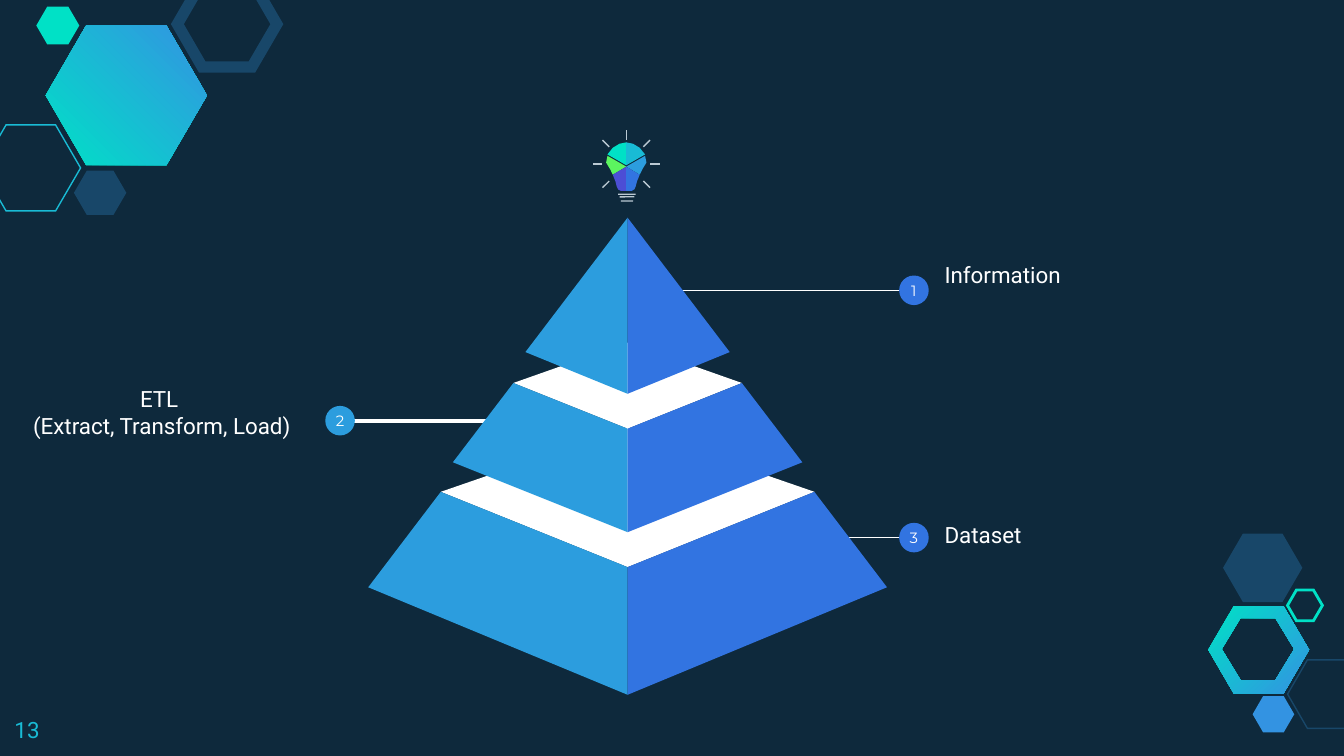
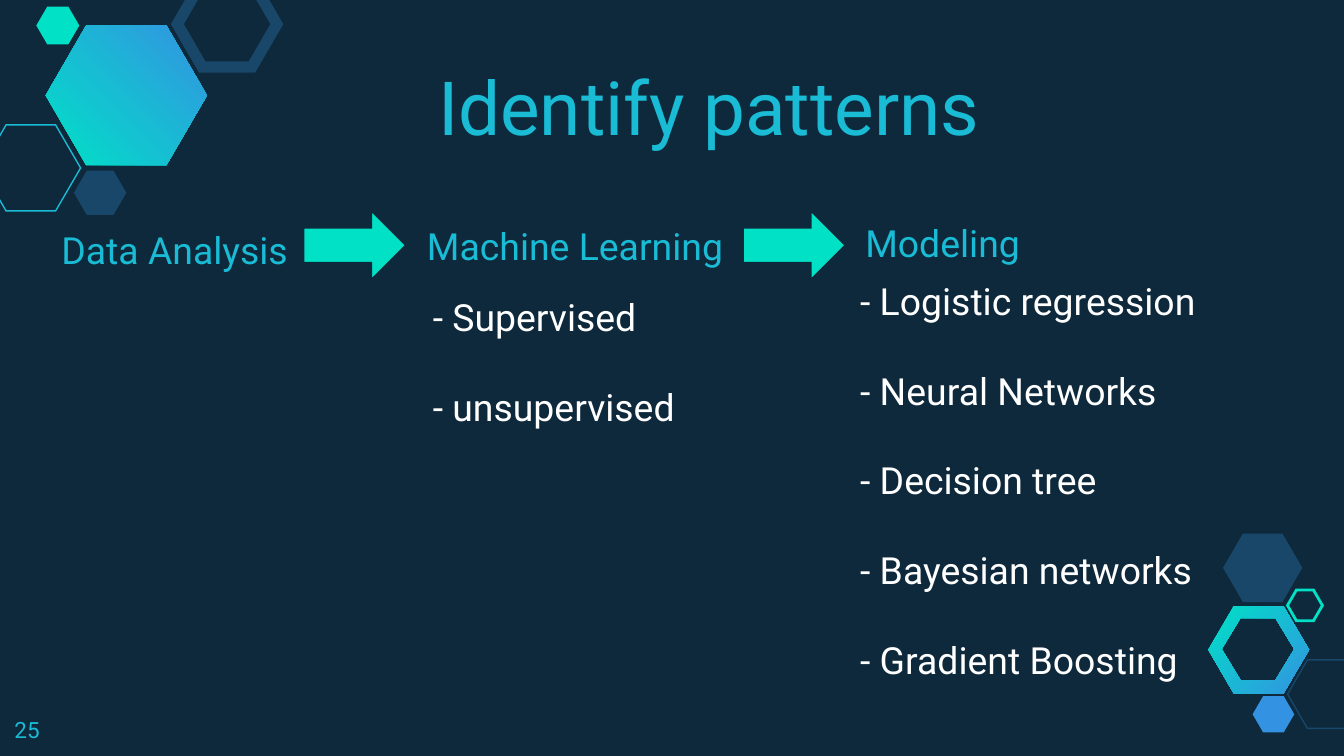
from math import cos, radians, sin

from lxml.etree import SubElement
from pptx import Presentation
from pptx.dml.color import RGBColor
from pptx.enum.shapes import MSO_CONNECTOR, MSO_SHAPE
from pptx.enum.text import MSO_ANCHOR, MSO_AUTO_SIZE, PP_ALIGN
from pptx.oxml.ns import qn
from pptx.util import Inches, Pt

NIGHT = RGBColor(0x0E, 0x29, 0x3C)
NAVY = RGBColor(0x18, 0x47, 0x69)
CYAN = RGBColor(0x19, 0xBB, 0xD5)
TEAL = RGBColor(0x00, 0xE1, 0xC6)
AZURE = RGBColor(0x33, 0x93, 0xE2)
SKY = RGBColor(0x2C, 0x9D, 0xDE)
BLUE = RGBColor(0x32, 0x74, 0xE1)
GREEN = RGBColor(0x5C, 0xF5, 0x5F)
VIOLET = RGBColor(0x4C, 0x4E, 0xD5)
GREY = RGBColor(0xBB, 0xC9, 0xD3)
WHITE = RGBColor(0xFF, 0xFF, 0xFF)

LEFT, CENTER = PP_ALIGN.LEFT, PP_ALIGN.CENTER
TOP, MIDDLE, BOTTOM = MSO_ANCHOR.TOP, MSO_ANCHOR.MIDDLE, MSO_ANCHOR.BOTTOM

HEXES = [
    ((-0.14, 0.93, 0.74, 0.64), None, CYAN, 0.75),
    ((0.55, 1.27, 0.39, 0.33), NAVY, None, 0),
    ((1.32, -0.14, 0.74, 0.64), None, NAVY, 6),
    ((0.27, 0.05, 0.32, 0.28), TEAL, None, 0),
    ((9.58, 4.91, 0.59, 0.51), None, NAVY, 0.75),
    ((9.32, 5.18, 0.31, 0.27), AZURE, None, 0),
    ((9.1, 3.97, 0.59, 0.51), NAVY, None, 0),
    ((9.58, 4.39, 0.26, 0.23), None, TEAL, 1.5),
]
AXIS = 4.67
TIERS = [
    (3.18, [(3.28, 3.66), (2.74, 4.37), (AXIS, 5.17), (AXIS, 4.22)]),
    (2.55, [(3.82, 2.85), (3.37, 3.44), (AXIS, 3.96), (AXIS, 3.19)]),
    (None, [(AXIS, 1.62), (3.91, 2.62), (AXIS, 2.93)]),
]
BULB = (4.66, 1.22)
PANES = [
    (GREEN, SKY, [(4.66, 1.24), (4.52, 1.16), (4.51, 1.21), (4.54, 1.26), (4.56, 1.3)]),
    (TEAL, CYAN, [(4.66, 1.23), (4.52, 1.15), (4.56, 1.1), (4.61, 1.07), (4.66, 1.06)]),
    (VIOLET, BLUE, [(4.66, 1.24), (4.56, 1.3), (4.58, 1.35), (4.59, 1.39),
                    (4.6, 1.41), (4.62, 1.42), (4.66, 1.42)]),
]


def place(shape, box):
    """Move and size a shape."""
    shape.left, shape.top, shape.width, shape.height = map(Inches, box)


def paint(shape, fill=None, line=None, width=0):
    """Set fill and outline, and drop the shadow."""
    shape.shadow.inherit = False
    if fill is None:
        shape.fill.background()
    else:
        shape.fill.solid()
        shape.fill.fore_color.rgb = fill
    if line is None:
        shape.line.fill.background()
    else:
        shape.line.color.rgb = line
        shape.line.width = Pt(width)
        SubElement(shape._element.spPr.find(qn("a:ln")), qn("a:miter"), lim="800000")


def blend(shape, angle):
    """Fill a shape from teal to azure."""
    shape.fill.gradient()
    shape.fill.gradient_angle = angle
    for stop, color in zip(shape.fill.gradient_stops, (TEAL, AZURE)):
        stop.color.rgb = color


def preset(shapes, kind, box, *style):
    """Add a painted preset shape."""
    shape = shapes.add_shape(kind, *map(Inches, box))
    paint(shape, *style)
    return shape


def hexa(shapes, box, *style):
    """Add a regular hexagon."""
    shape = preset(shapes, MSO_SHAPE.HEXAGON, box, *style)
    shape.adjustments[0] = 0.29
    return shape


def outline(shapes, loops, color):
    """Add a closed shape from one or more loops of points."""
    loops = [[(Inches(x), Inches(y)) for x, y in loop] for loop in loops]
    pen = shapes.build_freeform(*loops[0][0], scale=1.0)
    for i, loop in enumerate(loops):
        if i:
            pen.move_to(*loop[0])
        pen.add_line_segments(loop[1:], close=True)
    shape = pen.convert_to_shape()
    paint(shape, color)
    return shape


def rule(shapes, start, end, color, width):
    """Add a straight line."""
    line = shapes.add_connector(MSO_CONNECTOR.STRAIGHT, *map(Inches, start + end))
    line.line.color.rgb = color
    line.line.width = Pt(width)
    SubElement(line._element.spPr, qn("a:effectLst"))


def write(frame, lines, size, color, align=LEFT, anchor=TOP, inset=0.1, font="Roboto"):
    """Fill a text frame, one paragraph a line, with breaks inside."""
    frame.word_wrap = True
    frame.auto_size = MSO_AUTO_SIZE.NONE
    frame.vertical_anchor = anchor
    frame.margin_left = frame.margin_right = Inches(inset)
    frame.margin_top = frame.margin_bottom = Inches(inset)
    for i, line in enumerate(lines):
        para = frame.add_paragraph() if i else frame.paragraphs[0]
        para.alignment = align
        for j, part in enumerate(line.split("\n")):
            if j:
                para.add_line_break()
            run = para.add_run()
            run.text = part
            run.font.size = Pt(size)
            run.font.name = font
            run.font.color.rgb = color


def label(shapes, box, lines, size, color, align=LEFT, anchor=TOP):
    """Add a text box."""
    frame = shapes.add_textbox(*map(Inches, box)).text_frame
    write(frame, lines, size, color, align, anchor)


def listing(holder, box, lines):
    """Turn a body placeholder into a spaced list."""
    place(holder, box)
    write(holder.text_frame, lines, 20, WHITE)
    for i, para in enumerate(holder.text_frame.paragraphs):
        para.space_before = Pt(24 if i else 0)
        props = para._p.get_or_add_pPr()
        props.set("marL", "0")
        props.set("indent", "0")
        SubElement(props, qn("a:buNone"))


def hexpts(left, top, right, base, cut):
    """List the corners of a hexagon."""
    mid = (top + base) / 2
    return [(left, mid), (left + cut, top), (right - cut, top),
            (right, mid), (right - cut, base), (left + cut, base)]


def decor(slide, number):
    """Add the hexagon corners and the page number."""
    shapes = slide.shapes
    loops = [hexpts(8.99, 4.51, 9.74, 5.16, 0.19), hexpts(9.09, 4.6, 9.63, 5.06, 0.14)]
    blend(outline(shapes, loops, TEAL), 315)
    blend(hexa(shapes, (0.34, 0.19, 1.2, 1.04)), 45)
    for item in HEXES:
        hexa(shapes, *item)
    label(shapes, (0.01, 5.23, 0.6, 0.39), [number], 12, CYAN)


def callout(slide, number, dot, tip, width, color, box, lines, align=LEFT):
    """Add a numbered dot with its line and label."""
    shapes = slide.shapes.add_group_shape().shapes
    x, y = dot
    rule(shapes, (tip, y), (x, y), WHITE, width)
    label(shapes, box, lines, 12, WHITE, align, MIDDLE)
    badge = preset(shapes, MSO_SHAPE.OVAL, (x - 0.11, y - 0.11, 0.22, 0.22), color)
    write(badge.text_frame, [number], 8, WHITE, CENTER, MIDDLE, 0, "Montserrat")


def mirror(points, axis):
    """Reflect points across an upright axis."""
    return [(2 * axis - x, y) for x, y in points]


def pyramid(slide):
    """Add the three tiers, from the base up."""
    shapes = slide.shapes.add_group_shape().shapes
    for back, face in TIERS:
        other = mirror(face, AXIS)
        if back:
            outline(shapes, [[face[0], face[-1], other[0], (AXIS, back)]], WHITE)
        outline(shapes, [face], SKY)
        outline(shapes, [other], BLUE)


def bulb(slide):
    """Add the light bulb with its rays and base."""
    shapes = slide.shapes.add_group_shape().shapes
    x, y = BULB
    for turn in range(-225, 46, 45):
        dx, dy = cos(radians(turn)), sin(radians(turn))
        start, end = [(x + r * dx, y + r * dy) for r in (0.18, 0.25)]
        rule(shapes, start, end, GREY, 0.75)
    for i, top in enumerate((1.44, 1.46, 1.49)):
        box = (4.6 + 0.01 * i, top, 0.13 - 0.02 * i, 0.01)
        preset(shapes, MSO_SHAPE.ROUNDED_RECTANGLE, box, GREY)
    for near, far, pane in PANES:
        outline(shapes, [pane], near)
        outline(shapes, [mirror(pane, BULB[0])], far)


def layers(deck):
    """Build the pyramid slide."""
    slide = deck.slides.add_slide(deck.slide_layouts[6])
    decor(slide, "13")
    callout(slide, "3", (6.8, 4), 6.27, 0.75, BLUE, (6.93, 3.22, 2.04, 1.51), ["Dataset"])
    callout(slide, "2", (2.53, 3.13), 3.64, 2, SKY, (0.01, 2.31, 2.39, 1.51),
            ["ETL \n(Extract, Transform, Load)"], CENTER)
    callout(slide, "1", (6.8, 2.16), 5.03, 0.75, BLUE, (6.93, 1.29, 2.04, 1.51),
            ["Information"])
    pyramid(slide)
    bulb(slide)


def patterns(deck):
    """Build the slide with the three steps."""
    slide = deck.slides.add_slide(deck.slide_layouts[3])
    decor(slide, "25")
    title, first, second = slide.placeholders
    place(title, (3.16, 0.51, 5.41, 0.71))
    write(title.text_frame, ["Identify patterns"], 40, CYAN, LEFT, BOTTOM)
    for text, left, top, align in (("Data Analysis", -0.53, 1.5, CENTER),
                                   ("Machine Learning", 2.45, 1.47, CENTER),
                                   ("Modeling", 6.34, 1.45, LEFT)):
        label(slide.shapes, (left, top, 3.66, 0.62), [text], 20, CYAN, align, BOTTOM)
    for left in (2.25, 5.52):
        box = (left, 1.55, 0.78, 0.55)
        preset(slide.shapes, MSO_SHAPE.RIGHT_ARROW, box, TEAL, NIGHT, 2)
    listing(first, (3.12, 2.09, 3.66, 1.19), ["- Supervised", "- unsupervised"])
    listing(second, (6.3, 1.97, 3.66, 3.19),
            ["- Logistic regression", "- Neural Networks", "- Decision tree",
             "- Bayesian networks", "- Gradient Boosting"])


def main():
    """Build and save the deck."""
    deck = Presentation()
    deck.slide_width = Inches(10)
    deck.slide_height = deck.slide_width * 9 // 16
    fill = deck.slide_master.background.fill
    fill.solid()
    fill.fore_color.rgb = NIGHT
    layers(deck)
    patterns(deck)
    deck.save("out.pptx")


if __name__ == "__main__":
    main()
